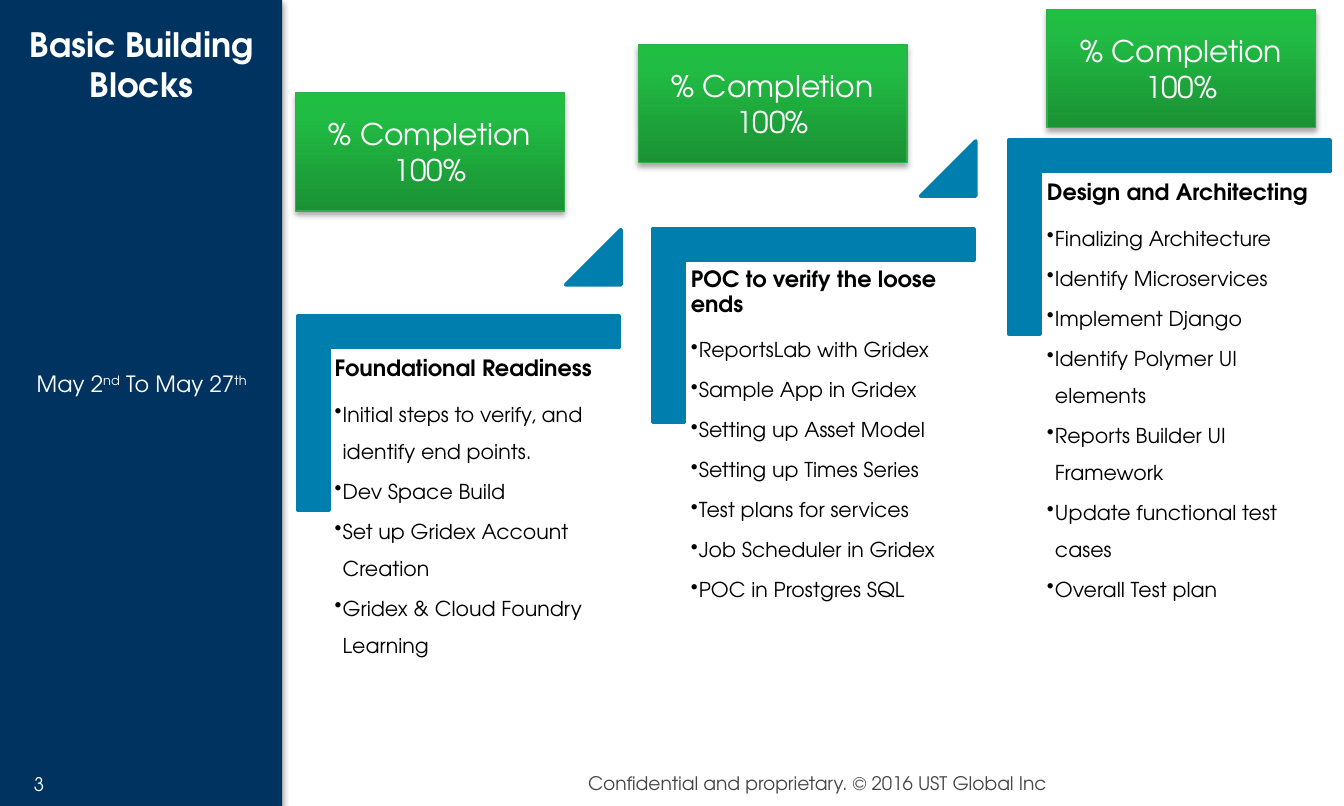
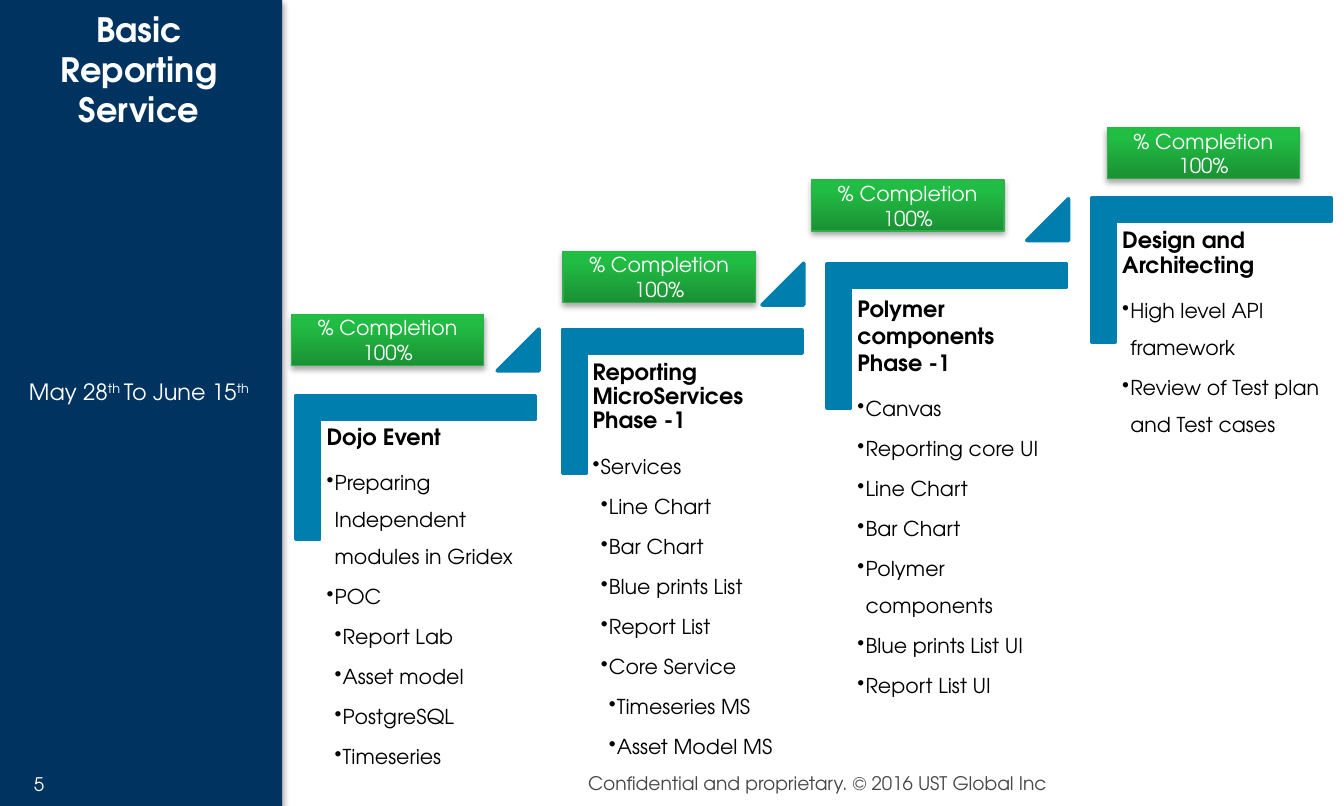
from copy import deepcopy
from dataclasses import dataclass

from pptx import Presentation
from pptx import util as u
from pptx.dml.color import RGBColor
from pptx.enum import shapes, text
from pptx.oxml.ns import qn
from lxml import etree

Inches, Pt = u.Inches, u.Pt


@dataclass(frozen=True)
class Theme:
    font: str = "TeX Gyre Adventor"
    navy: str = "013360"
    blue: str = "007EAE"
    green_line: str = "31AF4D"
    green_stops: tuple = ((0, "1A9134"), (0.8, "21BC43"), (1, "1FC042"))
    white: str = "FFFFFF"
    black: str = "000000"
    gray: str = "464646"
    title: int = 18
    heading: int = 12
    body: int = 11
    small: int = 10


THEME = Theme()
CENTER = text.PP_ALIGN.CENTER
MIDDLE = text.MSO_ANCHOR.MIDDLE
INDENT = 0.06

# Proportions of a stair step, relative to the width of its bracket
STEP_DX, STEP_DY = 1.108, -0.274
BRACKET_HEIGHT = 0.602
ARM = 16100  # thickness in 1/100000 of the bracket's shorter side
TEXT_BOX = (0.098, 0.103, 0.904, 0.791)
MARKER_BOX = (0.835, -0.274, 0.172, 0.172)


def place(left, top, width, height):
    return [Inches(round(value, 2)) for value in (left, top, width, height)]


def scaled(left, top, unit, part):
    x, y, width, height = (unit * value for value in part)
    return left + x, top + y, width, height


def color(code):
    return RGBColor.from_string(code)


def write(para, content, size, ink, bold=False, superscript=False):
    span = para.add_run()
    span.text = content
    span.font.name = THEME.font
    span.font.size = Pt(size)
    span.font.bold = bold
    span.font.color.rgb = color(ink)
    if superscript:
        span.font._element.set("baseline", "30000")


def add_text(page, box, content, size, ink=THEME.white, bold=False,
             anchor=MIDDLE, inset=None, wrap=True):
    """Add centred text; odd items of a list content are superscript."""
    frame = page.shapes.add_textbox(*place(*box)).text_frame
    frame.word_wrap = wrap
    frame.vertical_anchor = anchor
    if inset is not None:
        set_insets(frame, inset)
    para = frame.paragraphs[0]
    para.alignment = CENTER
    parts = [content] if isinstance(content, str) else content
    for index, part in enumerate(parts):
        write(para, part, size, ink, bold, superscript=index % 2 == 1)


def set_insets(frame, inset):
    frame.margin_left = frame.margin_right = Inches(inset)
    frame.margin_top = frame.margin_bottom = Inches(inset)


def add_solid(page, kind, box, fill, line_width=0):
    shape = page.shapes.add_shape(kind, *place(*box))
    shape.shadow.inherit = False
    shape.fill.solid()
    shape.fill.fore_color.rgb = color(fill)
    if line_width:
        shape.line.color.rgb = color(fill)
        shape.line.width = Pt(line_width)
    else:
        shape.line.fill.background()
    return shape


def add_shadow(shape):
    shape.shadow.inherit = False
    effects = shape._element.spPr.find(qn("a:effectLst"))
    shadow = etree.SubElement(effects, qn("a:outerShdw"), blurRad="40000",
                              dist="23000", dir="5400000", rotWithShape="0")
    ink = etree.SubElement(shadow, qn("a:srgbClr"), val=THEME.black)
    etree.SubElement(ink, qn("a:alpha"), val="35000")


def fill_green(shape):
    shape.fill.gradient()
    shape.fill.gradient_angle = 90
    stop_list = shape._element.spPr.find(".//" + qn("a:gsLst"))
    stop_list.append(deepcopy(stop_list[-1]))
    for stop, (position, code) in zip(shape.fill.gradient_stops,
                                      THEME.green_stops):
        stop.position = position
        stop.color.rgb = color(code)


def add_badge(page, box, size):
    badge = page.shapes.add_shape(shapes.MSO_SHAPE.RECTANGLE, *place(*box))
    fill_green(badge)
    badge.line.color.rgb = color(THEME.green_line)
    badge.line.width = Pt(0.75)
    add_shadow(badge)
    frame = badge.text_frame
    frame.word_wrap = True
    frame.vertical_anchor = MIDDLE
    for index, line in enumerate(("% Completion", "100%")):
        para = frame.add_paragraph() if index else frame.paragraphs[0]
        para.alignment = CENTER
        write(para, line, size, THEME.white)


def add_bullet(frame, level, content):
    para = frame.add_paragraph()
    para.level = level
    properties = para._p.get_or_add_pPr()
    properties.set("marL", str(Inches(INDENT * level)))
    properties.set("indent", str(-Inches(INDENT)))
    etree.SubElement(properties, qn("a:buChar"), char="•")
    para.line_spacing = 1.5
    para.space_after = Pt(THEME.body * 0.15)
    write(para, content, THEME.body, THEME.black)


def add_step_text(page, box, heading, items, heading_spacing):
    frame = page.shapes.add_textbox(*place(*box)).text_frame
    frame.word_wrap = True
    set_insets(frame, 0.05)
    para = frame.paragraphs[0]
    para.line_spacing = heading_spacing
    para.space_after = Pt(THEME.heading * 0.35)
    write(para, heading, THEME.heading, THEME.black, bold=True)
    for item in items:
        level, content = item if isinstance(item, tuple) else (1, item)
        add_bullet(frame, level, content)


def add_bracket(page, left, top, width):
    """Draw an L shape turned so that its arms run along the top and left."""
    height = width * BRACKET_HEIGHT
    shift = (width - height) / 2
    bracket = add_solid(page, shapes.MSO_SHAPE.RECTANGLE,
                        (left + shift, top - shift, height, width),
                        THEME.blue, 2)
    bracket.rotation = 90
    geometry = bracket._element.spPr.find(qn("a:prstGeom"))
    geometry.set("prst", "corner")
    guides = geometry.find(qn("a:avLst"))
    for name in ("adj1", "adj2"):
        etree.SubElement(guides, qn("a:gd"), name=name, fmla=f"val {ARM}")


def add_staircase(page, left, top, unit, steps):
    for index, step in enumerate(steps):
        x = left + index * unit * STEP_DX
        y = top + index * unit * STEP_DY
        add_bracket(page, x, y, unit)
        add_step_text(page, scaled(x, y, unit, TEXT_BOX), step["heading"],
                      step["items"], step.get("spacing", 0.9))
        if index < len(steps) - 1:
            marker = add_solid(page, shapes.MSO_SHAPE.ISOSCELES_TRIANGLE,
                               scaled(x, y, unit, MARKER_BOX), THEME.blue, 2)
            marker.adjustments[0] = 1


def add_frame(page, number, title, title_box, dates, dates_box):
    """Add the side band with its texts, and the footer."""
    band = add_solid(page, shapes.MSO_SHAPE.RECTANGLE, (0, 0, 2.1, 6),
                     THEME.navy)
    add_shadow(band)
    add_text(page, (4.24, 5.7, 3.68, 0.27),
             "Confidential and proprietary. © 2016 UST Global Inc",
             THEME.small, THEME.gray, anchor=text.MSO_ANCHOR.TOP, wrap=False)
    add_text(page, (0.1, 5.76, 0.38, 0.16), number, THEME.small, inset=0)
    add_text(page, title_box, title, THEME.title, bold=True)
    add_text(page, dates_box, dates, THEME.heading)


def add_phase_page(deck, frame, unit, top, badge_size, badge_text, steps):
    page = deck.slides.add_slide(deck.slide_layouts[6])
    add_frame(page, **frame)
    add_staircase(page, 2.21, top, unit, steps)
    for step in steps:
        add_badge(page, (*step["badge"], *badge_size), badge_text)


BLOCKS = dict(
    frame=dict(number="3", title="Basic Building Blocks",
               title_box=(0.02, 0.01, 2.07, 0.93),
               dates=["May 2", "nd", " To May 27", "th"],
               dates_box=(0.02, 1.76, 2.07, 2.19)),
    unit=2.39, top=2.36, badge_size=(2, 0.88), badge_text=16,
    steps=[
        dict(heading="Foundational Readiness", badge=(2.2, 0.69), items=[
            "Initial steps to verify, and identify end points.",
            "Dev Space Build", "Set up Gridex Account Creation",
            "Gridex & Cloud Foundry Learning"]),
        dict(heading="POC to verify the loose ends", badge=(4.75, 0.33),
             items=["ReportsLab with Gridex", "Sample App in Gridex",
                    "Setting up Asset Model", "Setting up Times Series",
                    "Test plans for services", "Job Scheduler in Gridex",
                    "POC in Prostgres SQL"]),
        dict(heading="Design and Architecting", badge=(7.79, 0.07), items=[
            "Finalizing Architecture", "Identify Microservices",
            "Implement Django", "Identify Polymer UI elements",
            "Reports Builder UI Framework", "Update functional test cases",
            "Overall Test plan"]),
    ])

REPORTING = dict(
    frame=dict(number="5", title="Basic Reporting Service",
               title_box=(0, 0, 2.07, 1.03),
               dates=["May 28", "th ", "To June 15", "th"],
               dates_box=(0, 1.82, 2.07, 2.19)),
    unit=1.78, top=2.94, badge_size=(1.43, 0.38), badge_text=11,
    steps=[
        dict(heading="Dojo Event", badge=(2.17, 2.34), items=[
            "Preparing Independent modules in Gridex", "POC",
            (2, "Report Lab"), (2, "Asset model"), (2, "PostgreSQL"),
            (2, "Timeseries")]),
        dict(heading="Reporting MicroServices Phase -1", badge=(4.19, 1.87),
             items=["Services", (2, "Line Chart"), (2, "Bar Chart"),
                    (2, "Blue prints List"), (2, "Report List"),
                    (2, "Core Service"), (3, "Timeseries MS"),
                    (3, "Asset Model MS")]),
        dict(heading="Polymer components Phase -1", badge=(6.04, 1.34),
             spacing=1.0, items=[
                 "Canvas", "Reporting core UI", "Line Chart", "Bar Chart",
                 "Polymer components", "Blue prints List UI",
                 "Report List UI"]),
        dict(heading="Design and Architecting", badge=(8.24, 0.95), items=[
            "High level API framework",
            "Review of Test plan and Test cases"]),
    ])


def main():
    deck = Presentation()
    deck.slide_width, deck.slide_height = Inches(10), Inches(6)
    for phase in (BLOCKS, REPORTING):
        add_phase_page(deck, **phase)
    deck.save("out.pptx")


if __name__ == "__main__":
    main()
